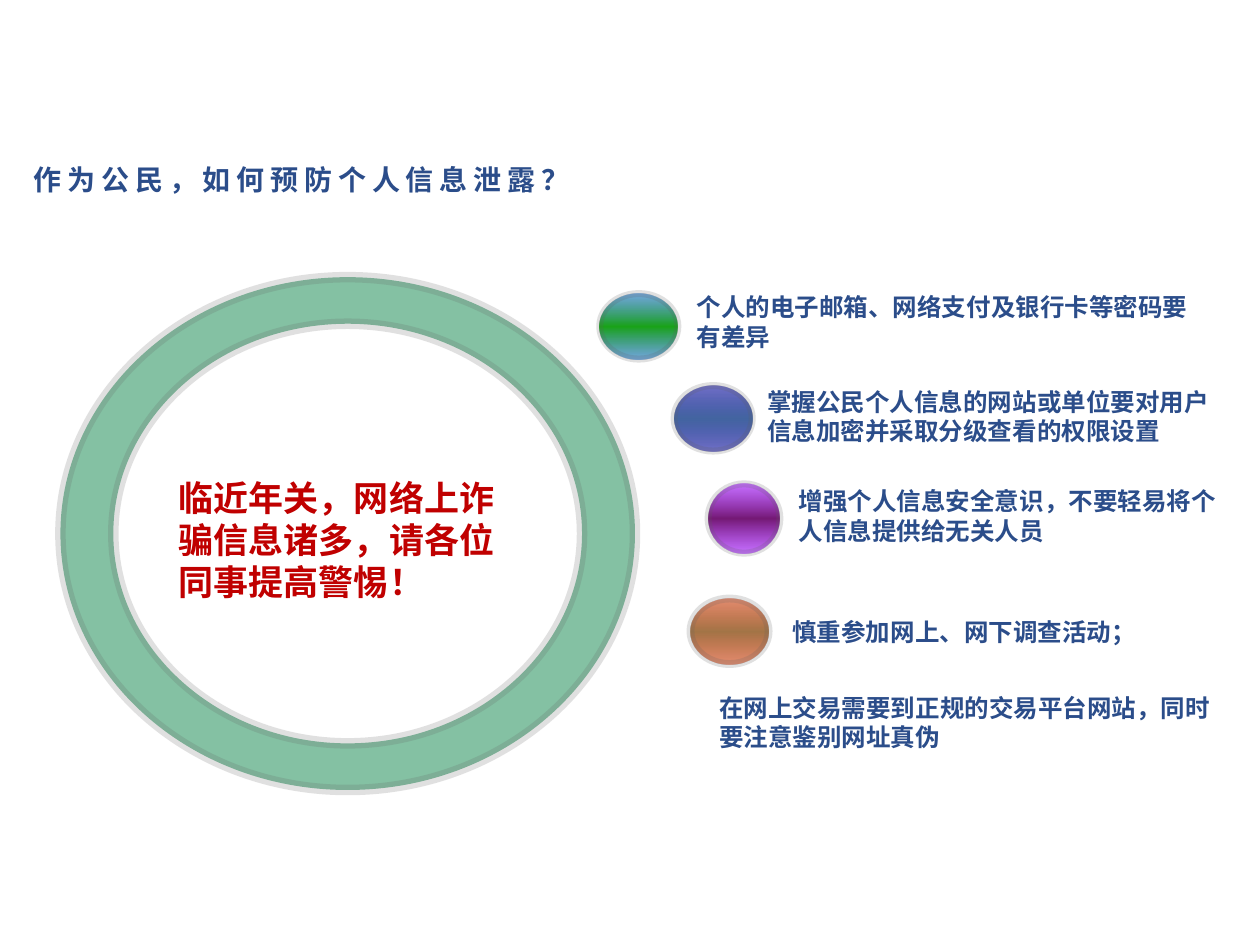
import pptx
import pptx.dml.color
import pptx.enum.shapes
import pptx.oxml
import pptx.oxml.ns
import pptx.util

Inches = pptx.util.Inches
Pt = pptx.util.Pt
qn = pptx.oxml.ns.qn

# Content
BLUE, RED, GREY, GREEN = "2B4D8A", "C00000", "5F5F5F", "339966"
TITLE = "作为公民，如何预防个人信息泄露？"
WARNING = "临近年关，网络上诈骗信息诸多，请各位同事提高警惕！"
# text, text box (left, top, width, height), ball (left, top, width, height, edge colour, centre colour, line)
TIPS = [
    ("个人的电子邮箱、网络支付及银行卡等密码要有差异", (5.43, 2.27, 4.17, 0.57),
     (4.76, 2.33, 0.62, 0.52, "0563C1", "009900", 4)),
    ("掌握公民个人信息的网站或单位要对用户信息加密并采取分级查看的权限设置", (5.99, 3.02, 3.86, 0.57),
     (5.35, 3.06, 0.62, 0.52, "000099", "2F5597", 4)),
    ("增强个人信息安全意识，不要轻易将个人信息提供给无关人员", (6.24, 3.81, 3.61, 0.57),
     (5.62, 3.84, 0.57, 0.55, "9900FF", "660066", 4)),
    ("慎重参加网上、网下调查活动；", (6.19, 4.85, 4.17, 0.34),
     (5.48, 4.75, 0.62, 0.52, "CC3300", "996633", 4.5)),
    ("在网上交易需要到正规的交易平台网站，同时要注意鉴别网址真伪", (5.61, 5.45, 4.17, 0.57), None),
]
RING = (0.48, 2.2, 4.56, 4.07)
BAND = (0.42, 0.37)  # thickness at the sides, and at the top and bottom
KAPPA = 0.55  # control-point distance of a quarter ellipse

prs = pptx.Presentation()
prs.slide_width, prs.slide_height = Inches(10), Inches(7.5)
s = prs.slides.add_slide(prs.slide_layouts[6])


def rgb(value):
    return pptx.dml.color.RGBColor.from_string(value)


def set_alpha(element, percent):
    clr = element.find(".//" + qn("a:srgbClr"))
    clr.append(clr.makeelement(qn("a:alpha"), {"val": str(percent * 1000)}))


def style_outline(sp, width):
    sp.shadow.inherit = False
    sp.line.width = Pt(width)
    sp.line.color.rgb = rgb(GREY)
    set_alpha(sp.line._ln, 18)


def add_text(text, left, top, width, height, size, color, spacing=None):
    box = s.shapes.add_textbox(*map(Inches, (left, top, width, height)))
    tf = box.text_frame
    tf.word_wrap = True
    tf.text = text
    r = tf.paragraphs[0].runs[0]
    r.font.name, r.font.size, r.font.bold = "Arial", Pt(size), True
    r.font.color.rgb = rgb(color)
    if spacing:
        r.font._element.set("spc", str(round(spacing * 100)))


def ellipse_path(rx, ry, turn):
    """Four curves from the left end; turn is -1 over the top, 1 under the bottom."""
    def pt(x, y):
        return (f'<a:pt x="{Inches(RING[2] / 2 + rx * x)}" '
                f'y="{Inches(RING[3] / 2 + ry * y)}"/>')

    ends = [(-1, 0), (0, turn), (1, 0), (0, -turn), (-1, 0)]
    curves = ""
    for (x0, y0), (x1, y1) in zip(ends, ends[1:]):
        curves += ("<a:cubicBezTo>" + pt(x0 + KAPPA * x1, y0 + KAPPA * y1)
                   + pt(x1 + KAPPA * x0, y1 + KAPPA * y0) + pt(x1, y1) + "</a:cubicBezTo>")
    return f"<a:moveTo>{pt(*ends[0])}</a:moveTo>{curves}<a:close/>"


def add_ring():
    left, top, width, height = map(Inches, RING)
    builder = s.shapes.build_freeform(left, top)
    builder.add_line_segments([(left + width, top), (left + width, top + height),
                               (left, top + height)])
    sp = builder.convert_to_shape()
    rx, ry = RING[2] / 2, RING[3] / 2
    # Replace the bounding outline with two curved ones
    outline = pptx.oxml.parse_xml(
        f'<a:path {pptx.oxml.ns.nsdecls("a")} w="{width}" h="{height}">'
        + ellipse_path(rx, ry, -1) + ellipse_path(rx - BAND[0], ry - BAND[1], 1) + "</a:path>")
    bounds = sp._element.find(".//" + qn("a:path"))
    bounds.getparent().replace(bounds, outline)
    sp.fill.solid()
    sp.fill.fore_color.rgb = rgb(GREEN)
    set_alpha(sp._element.spPr.find(qn("a:solidFill")), 60)
    style_outline(sp, 6)


def add_ball(left, top, width, height, edge, centre, line):
    sp = s.shapes.add_shape(pptx.enum.shapes.MSO_SHAPE.OVAL,
                            *map(Inches, (left, top, width, height)))
    stops = "".join(
        f'<a:gs pos="{pos * 1000}"><a:srgbClr val="{color}">'
        f'<a:alpha val="{alpha * 1000}"/></a:srgbClr></a:gs>'
        for pos, color, alpha in ((0, edge, 55), (50, centre, 90), (100, edge, 55)))
    grad = pptx.oxml.parse_xml(
        f'<a:gradFill {pptx.oxml.ns.nsdecls("a")} rotWithShape="1"><a:gsLst>{stops}</a:gsLst>'
        '<a:lin ang="5400000" scaled="1"/></a:gradFill>')
    sp._element.spPr.find(qn("a:prstGeom")).addnext(grad)
    style_outline(sp, line)


# Ring with the warning inside
add_ring()
add_text(WARNING, 1.32, 3.73, 2.89, 1.11, 20, RED)

# Tips with their balls
for text, place, ball in TIPS:
    add_text(text, *place, 14, BLUE)
    if ball:
        add_ball(*ball)

# Title
add_text(TITLE, 0.17, 1.24, 4.59, 0.37, 16, BLUE, spacing=3.4)

prs.save("out.pptx")
